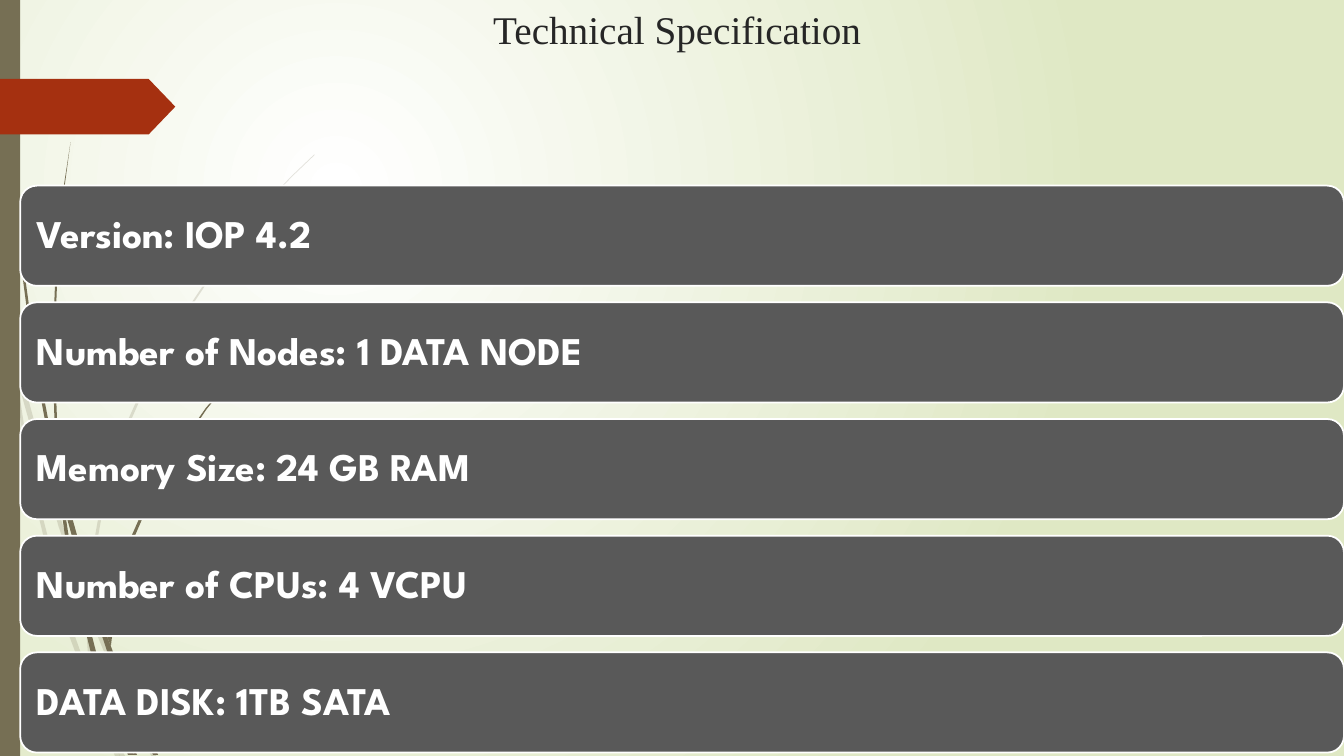
"""Build the technical specification slide with its grass-stem backdrop."""
from lxml import etree
from pptx import Presentation
from pptx.dml.color import RGBColor
from pptx.enum.shapes import MSO_SHAPE
from pptx.enum.text import MSO_ANCHOR, MSO_AUTO_SIZE, PP_ALIGN
from pptx.oxml.ns import qn
from pptx.util import Pt

RECTANGLE = MSO_SHAPE.RECTANGLE
ROUNDED = MSO_SHAPE.ROUNDED_RECTANGLE
TAG = MSO_SHAPE.PENTAGON
TOP, MIDDLE = MSO_ANCHOR.TOP, MSO_ANCHOR.MIDDLE
LEFT, CENTER = PP_ALIGN.LEFT, PP_ALIGN.CENTER
NO_FIT = MSO_AUTO_SIZE.NONE

WHITE = RGBColor(0xFF, 0xFF, 0xFF)
PALE_GREEN = RGBColor(0xDF, 0xE8, 0xC4)
OLIVE = RGBColor(0x76, 0x6F, 0x54)
RUST = RGBColor(0xA5, 0x30, 0x10)
GREY = RGBColor(0x59, 0x59, 0x59)
INK = RGBColor(0x26, 0x26, 0x26)

PAGE_WIDTH, PAGE_HEIGHT = 960, 540
STRIP_WIDTH = 14.4
BAR_TOP, BAR_PITCH, BAR_HEIGHT = 132.6, 83.35, 71.6
STEM_UNIT = 0.72

SPECIFICATIONS = [
    "Version: IOP 4.2",
    "Number of Nodes: 1 DATA NODE",
    "Memory Size: 24 GB RAM",
    "Number of CPUs: 4 VCPU",
    "DATA DISK: 1TB SATA",
]

FAINT_STEMS = [
    [(11, 350), (9, 322), (0, 282), (0, 299), (10, 344)],
    [(58, 522), (84, 599), (85, 586), (62, 520), (14, 345), (17, 376)],
    [(92, 607), (88, 596), (88, 610), (123, 694), (150, 750), (155, 750), (127, 692)],
    [(119, 750), (124, 750), (105, 711)],
    [(93, 683), (70, 619), (31, 469), (17, 376), (11, 350), (28, 470), (65, 621),
     (92, 693), (101, 714), (99, 707)],
    [(84, 599), (87, 646), (93, 683), (96, 692), (105, 711), (103, 706), (91, 646),
     (88, 610), (88, 608)],
    [(88, 584), (110, 462), (160, 349), (229, 245), (268, 198), (290, 175), (312, 154),
     (312, 153), (289, 175), (268, 197), (228, 244), (158, 348), (107, 461), (85, 584),
     (85, 586), (88, 596)],
    [(101, 714), (114, 750), (119, 750)],
    [(96, 692), (93, 683), (99, 707), (101, 714), (119, 750), (105, 711)],
]
SOLID_STEMS = [
    [(7, 110), (17, 233), (33, 355), (56, 477), (57, 481), (55, 457), (55, 453),
     (36, 355), (19, 232), (8, 109), (5, 48), (4, 0), (3, 0), (4, 48)],
    [(88, 592), (106, 645), (106, 631), (93, 590), (60, 472), (64, 505)],
    [(113, 649), (110, 641), (111, 656), (132, 708), (152, 749), (157, 749), (136, 706)],
    [(110, 691), (98, 657), (72, 556), (64, 505), (57, 477), (68, 557), (93, 659),
     (111, 708), (117, 722), (116, 717)],
    [(60, 472), (58, 453), (54, 349), (58, 245), (63, 193), (70, 141), (62, 193),
     (56, 245), (52, 349), (55, 449)],
    [(133, 749), (136, 749), (122, 719)],
    [(111, 633), (125, 552), (158, 476), (205, 406), (231, 374), (245, 359), (261, 344),
     (260, 344), (245, 358), (231, 373), (204, 405), (156, 474), (122, 551), (106, 631),
     (110, 641)],
    [(117, 722), (127, 749), (131, 749)],
    [(106, 645), (110, 691), (116, 706), (122, 719), (121, 716), (111, 656), (109, 651)],
    [(106, 645), (109, 651), (111, 656), (110, 641), (106, 631)],
    [(116, 706), (110, 691), (116, 717), (117, 722), (130, 749), (133, 749), (122, 719)],
]


def apply(target, formats):
    """Set every named format value on the target."""
    for name, value in formats.items():
        setattr(target, name, value)


class SpecificationPage:
    """Hold the slide and its styles, and draw each kind of element."""

    title_style = {"name": "Times New Roman", "size": Pt(28), "bold": False}
    bar_style = {"name": "League Spartan", "size": Pt(28), "bold": True}

    def __init__(self, deck):
        """Add a title-only slide to the deck."""
        self.page = deck.slides.add_slide(deck.slide_layouts[5])

    def background(self, inner, outer):
        """Fill the page with a circular gradient."""
        fill = self.page.background.fill
        fill.gradient()
        for stop, color in zip(fill.gradient_stops, (inner, outer)):
            stop.color.rgb = color
        gradient = self.page.element.find(".//" + qn("a:gradFill"))
        gradient.remove(gradient.find(qn("a:lin")))
        circle = etree.SubElement(gradient, qn("a:path"), path="circle")
        etree.SubElement(circle, qn("a:fillToRect"), l="50000", t="50000", r="100000", b="100000")

    def paint(self, shape, color):
        """Give a shape a flat fill without line or shadow."""
        shape.shadow.inherit = False
        shape.fill.solid()
        shape.fill.fore_color.rgb = color
        shape.line.fill.background()

    def stems(self, outlines, color, opacity=100):
        """Draw a group of grass stems."""
        group = self.page.shapes.add_group_shape()
        for start, *others in outlines:
            builder = group.shapes.build_freeform(*start, scale=Pt(STEM_UNIT))
            builder.add_line_segments(others, close=True)
            stem = builder.convert_to_shape()
            self.paint(stem, color)
            if opacity < 100:
                tint = stem.element.spPr.find(qn("a:solidFill")).find(qn("a:srgbClr"))
                etree.SubElement(tint, qn("a:alpha"), val=str(opacity * 1000))

    def shape(self, kind, left, top, width, height, color):
        """Draw a flat preset shape."""
        shape = self.page.shapes.add_shape(kind, Pt(left), Pt(top), Pt(width), Pt(height))
        self.paint(shape, color)
        return shape

    def add_text(self, shape, text, style, color, para_formats, frame_formats):
        """Put one formatted paragraph in a shape."""
        frame = shape.text_frame
        apply(frame, {"word_wrap": True, "auto_size": NO_FIT, **frame_formats})
        para = frame.paragraphs[0]
        apply(para, para_formats)
        span = para.add_run()
        span.text = text
        apply(span.font, style)
        span.font.color.rgb = color

    def title(self, text, left, top, width, height):
        """Place the title in front of the backdrop."""
        title = self.page.shapes.title
        apply(title, {"left": Pt(left), "top": Pt(top), "width": Pt(width), "height": Pt(height)})
        self.add_text(title, text, self.title_style, INK, {"alignment": CENTER},
                      {"vertical_anchor": TOP})
        title.element.getparent().append(title.element)

    def bar(self, text, top):
        """Draw one specification bar."""
        box = self.shape(ROUNDED, STRIP_WIDTH, top, PAGE_WIDTH - STRIP_WIDTH, BAR_HEIGHT, GREY)
        box.line.color.rgb = WHITE
        box.line.width = Pt(1.25)
        margins = {f"margin_{side}": Pt(8.4) for side in ("left", "top", "right", "bottom")}
        self.add_text(box, text, self.bar_style, WHITE,
                      {"alignment": LEFT, "line_spacing": 0.9},
                      {"vertical_anchor": MIDDLE, **margins})


def main():
    """Build and save the deck."""
    deck = Presentation()
    apply(deck, {"slide_width": Pt(PAGE_WIDTH), "slide_height": Pt(PAGE_HEIGHT)})
    page = SpecificationPage(deck)
    page.background(WHITE, PALE_GREEN)
    page.stems(FAINT_STEMS, OLIVE, opacity=20)
    page.stems(SOLID_STEMS, OLIVE)
    page.shape(RECTANGLE, 0, 0, STRIP_WIDTH, PAGE_HEIGHT, OLIVE)
    tag = page.shape(TAG, 0, 56.4, 125.2, 39.6, RUST)
    tag.adjustments[0] = 0.48
    page.title("Technical Specification ", STRIP_WIDTH, 0, PAGE_WIDTH - STRIP_WIDTH, 93.6)
    for index, text in enumerate(SPECIFICATIONS):
        page.bar(text, BAR_TOP + index * BAR_PITCH)
    deck.save("out.pptx")


if __name__ == "__main__":
    main()
